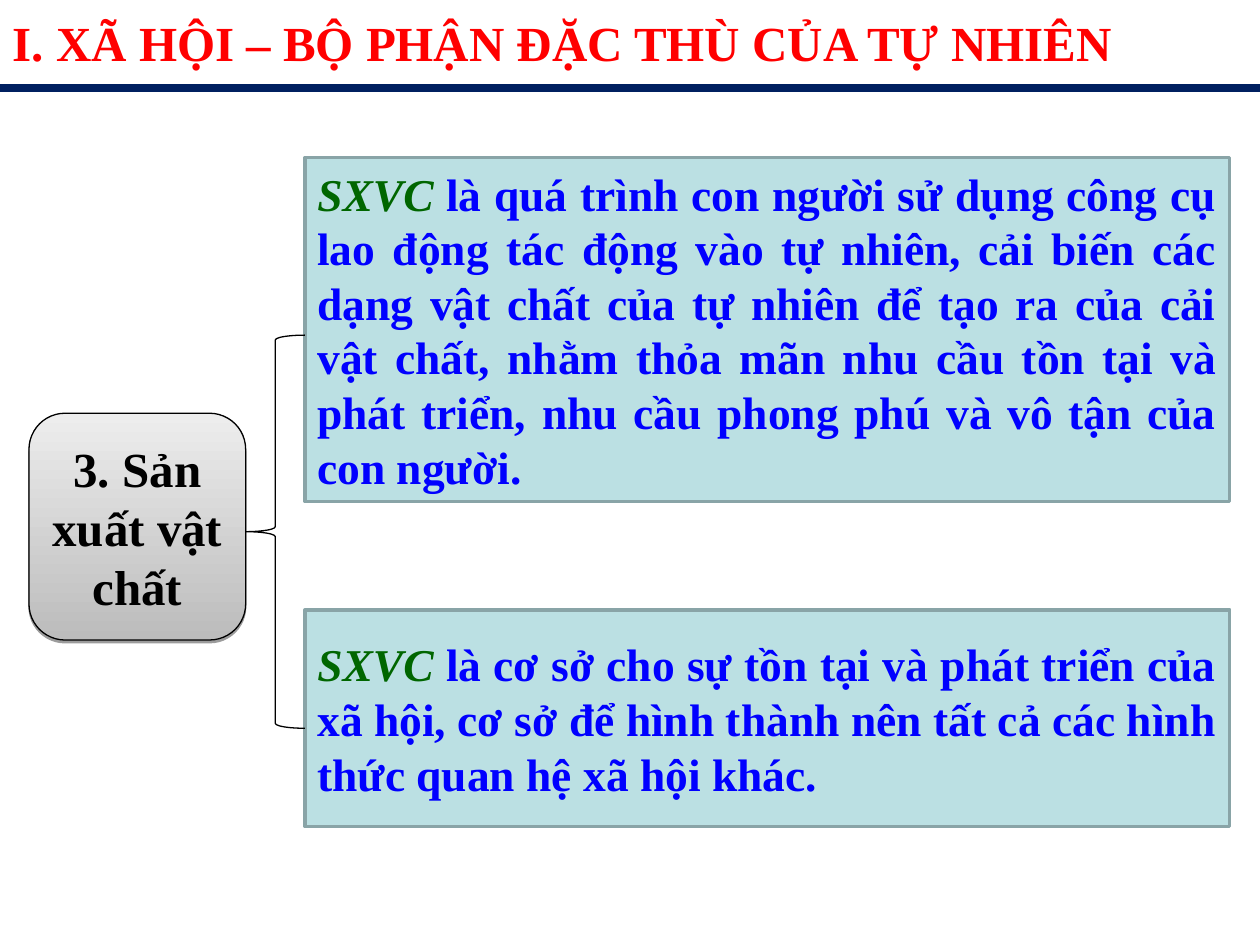
from dataclasses import dataclass

from lxml.etree import SubElement
from pptx import Presentation
from pptx.dml.color import RGBColor
from pptx.enum.shapes import MSO_CONNECTOR, MSO_SHAPE
from pptx.enum.text import MSO_ANCHOR, MSO_AUTO_SIZE, PP_ALIGN
from pptx.oxml.ns import qn
from pptx.shapes.autoshape import Shape
from pptx.slide import Slide
from pptx.text.text import TextFrame
from pptx.util import Inches, Pt

FONT = "Times New Roman"
RED = RGBColor(0xFF, 0x00, 0x00)
NAVY = RGBColor(0x00, 0x20, 0x60)
BLUE = RGBColor(0x00, 0x00, 0xFF)
GREEN = RGBColor(0x00, 0x66, 0x00)
BLACK = RGBColor(0x00, 0x00, 0x00)
PALE = RGBColor(0xBB, 0xE0, 0xE3)
EDGE = RGBColor(0x89, 0xA4, 0xA7)
DARK = RGBColor(0xBC, 0xBC, 0xBC)
LIGHT = RGBColor(0xED, 0xED, 0xED)


@dataclass
class Phrase:
    text: str
    color: RGBColor
    slant: bool = False


@dataclass
class Panel:
    top: float
    height: float
    words: list[Phrase]


TERM = Phrase("SXVC", GREEN, True)
PANELS = [
    Panel(1.25, 2.73, [TERM, Phrase(
        " là quá trình con người sử dụng công cụ lao động tác động vào tự nhiên, "
        "cải biến các dạng vật chất của tự nhiên để tạo ra của cải vật chất, "
        "nhằm thỏa mãn nhu cầu tồn tại và phát triển, nhu cầu phong phú "
        "và vô tận của con người.", BLUE)]),
    Panel(4.84, 1.72, [TERM, Phrase(
        " là cơ sở cho sự tồn tại và phát triển của xã hội, cơ sở để hình thành "
        "nên tất cả các hình thức quan hệ xã hội khác.", BLUE)]),
]


def write(frame: TextFrame, words: list[Phrase], size: int, align: PP_ALIGN,
          anchor: MSO_ANCHOR = MSO_ANCHOR.MIDDLE) -> None:
    frame.word_wrap = True
    frame.auto_size = MSO_AUTO_SIZE.NONE
    frame.vertical_anchor = anchor
    para = frame.paragraphs[0]
    para.alignment = align
    for phrase in words:
        run = para.add_run()
        run.text = phrase.text
        font = run.font
        font.name, font.size, font.bold = FONT, Pt(size), True
        font.italic = phrase.slant
        font.color.rgb = phrase.color


def add_form(slide: Slide, kind: MSO_SHAPE, left: float, top: float, width: float,
             height: float, color: RGBColor, weight: float) -> Shape:
    form = slide.shapes.add_shape(
        kind, Inches(left), Inches(top), Inches(width), Inches(height))
    form.shadow.inherit = False
    form.line.color.rgb = color
    form.line.width = Pt(weight)
    return form


def add_title(slide: Slide) -> None:
    title = slide.shapes.title
    title.left, title.top = Inches(0), Inches(0.05)
    title.width, title.height = Inches(10), Inches(0.57)
    write(title.text_frame, [Phrase("I. XÃ HỘI – BỘ PHẬN ĐẶC THÙ CỦA TỰ NHIÊN", RED)],
          28, PP_ALIGN.JUSTIFY, MSO_ANCHOR.TOP)


def add_rule(slide: Slide) -> None:
    rule = slide.shapes.add_connector(
        MSO_CONNECTOR.STRAIGHT, Inches(0), Inches(0.7), Inches(10), Inches(0.7))
    rule.line.color.rgb = NAVY
    rule.line.width = Pt(4.5)
    SubElement(rule._element.spPr, qn("a:effectLst"))


def add_panel(slide: Slide, panel: Panel) -> None:
    box = add_form(slide, MSO_SHAPE.RECTANGLE, 2.42, panel.top, 7.34,
                   panel.height, EDGE, 2)
    box.fill.solid()
    box.fill.fore_color.rgb = PALE
    write(box.text_frame, panel.words, 26, PP_ALIGN.JUSTIFY)


def add_topic(slide: Slide) -> None:
    topic = add_form(slide, MSO_SHAPE.ROUNDED_RECTANGLE, 0.23, 3.28, 1.72, 1.8,
                     BLACK, 0.75)
    topic.fill.gradient()
    topic.fill.gradient_angle = 90
    for stop, color in zip(topic.fill.gradient_stops, (DARK, LIGHT)):
        stop.color.rgb = color
    effects = topic._element.spPr.find(qn("a:effectLst"))
    shade = SubElement(effects, qn("a:outerShdw"), blurRad="0", dist=str(Pt(1.6)),
                       dir="5400000", rotWithShape="0")
    tint = SubElement(shade, qn("a:srgbClr"), val=str(BLACK))
    SubElement(tint, qn("a:alpha"), val="38000")
    write(topic.text_frame, [Phrase("3. Sản xuất vật chất", BLACK)], 28,
          PP_ALIGN.CENTER)


def add_brace(slide: Slide) -> None:
    brace = add_form(slide, MSO_SHAPE.LEFT_BRACE, 1.95, 2.66, 0.47, 3.12, BLACK, 0.75)
    brace.fill.background()


def main() -> None:
    deck = Presentation()
    deck.slide_width, deck.slide_height = Inches(10), Inches(7.5)
    slide = deck.slides.add_slide(deck.slide_layouts.get_by_name("Title Only"))
    add_rule(slide)
    add_title(slide)
    for panel in PANELS:
        add_panel(slide, panel)
    add_topic(slide)
    add_brace(slide)
    deck.save("out.pptx")


if __name__ == "__main__":
    main()
